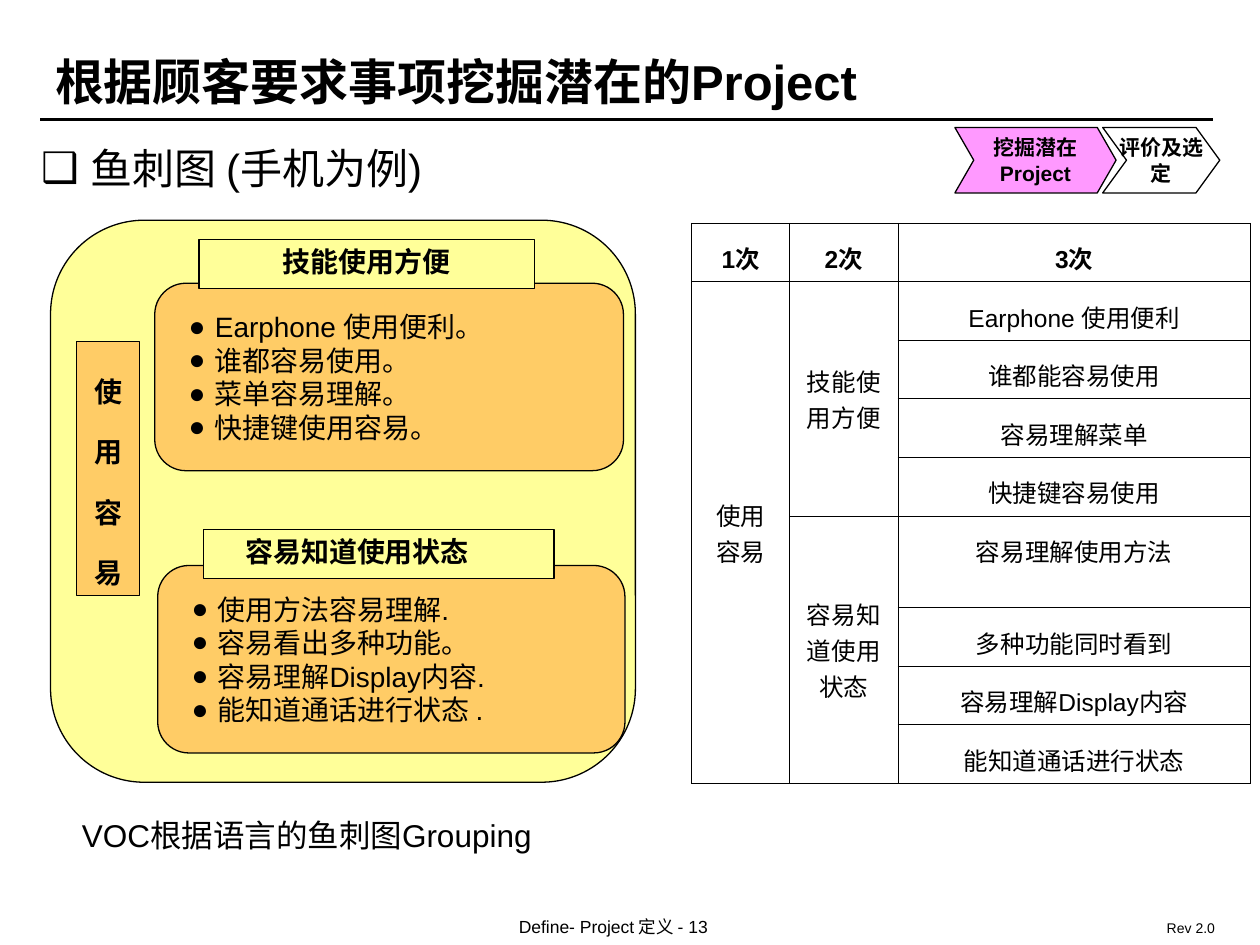
from dataclasses import dataclass

from lxml import etree
from pptx import Presentation
from pptx import util as u
from pptx.dml.color import RGBColor
from pptx.enum import shapes, text
from pptx.oxml import ns

Cm, Pt = u.Cm, u.Pt
KIND = shapes.MSO_SHAPE
LEFT, CENTER = text.PP_ALIGN.LEFT, text.PP_ALIGN.CENTER
TOP, MIDDLE = text.MSO_ANCHOR.TOP, text.MSO_ANCHOR.MIDDLE


@dataclass(frozen=True)
class Theme:
    """Colours, font and type sizes of the deck."""
    font: str = "Arial"
    ink: str = "000000"
    paper: str = "FFFFFF"
    yellow: str = "FFFF99"
    orange: str = "FFCC66"
    pink: str = "FF99FF"
    title: int = 28
    heading: int = 24
    caption: int = 18
    label: int = 16
    table: int = 14
    step: int = 12
    footer: int = 10
    revision: int = 8
    outline: float = 0.75
    rule: float = 1.5
    grid: float = 0.45


THEME = Theme()
CARDS = [
    ((3.12, 5.71, 9.45, 3.78),
     ["Earphone 使用便利。", "谁都容易使用。", "菜单容易理解。", "快捷键使用容易。"],
     (4.01, 4.83, 6.76, 0.99), "技能使用方便", CENTER, 0),
    ((3.18, 11.4, 9.42, 3.78),
     ["使用方法容易理解.", "容易看出多种功能。", "容易理解Display内容.", "能知道通话进行状态 ."],
     (4.11, 10.67, 7.06, 0.99), "容易知道使用状态", LEFT, 0.15),
]
STEPS = [
    ((19.25, 2.57, 3.25, 1.32), 0.38, THEME.pink, ["挖掘潜在", "Project"], 0),
    ((22.23, 2.57, 2.36, 1.32), 0.48, THEME.paper, ["评价及选定"], 0.3),
]
HEADERS = ["1次", "2次", "3次"]
GROUPS = [
    ("技能使用方便", ["Earphone 使用便利", "谁都能容易使用", "容易理解菜单", "快捷键容易使用"]),
    ("容易知道使用状态", ["容易理解使用方法", "多种功能同时看到", "容易理解Display内容", "能知道通话进行状态"]),
]


def apply(target, formats):
    """Set every attribute named in formats on the target."""
    for name, value in formats.items():
        setattr(target, name, value)


def colour(value):
    """Turn a hex string into a colour."""
    return RGBColor.from_string(value)


def add_element(parent, tag, **attributes):
    """Append a DrawingML element and return it."""
    return etree.SubElement(parent, ns.qn(tag), attributes)


def set_indent(para, margin, bullet=None):
    """Indent a paragraph and hang a bullet in the indent when one is given."""
    props = para._p.get_or_add_pPr()
    props.set("marL", str(Cm(margin)))
    props.set("indent", str(-Cm(margin) if bullet else 0))
    if bullet:
        add_element(props, "a:buFont", typeface=THEME.font)
        add_element(props, "a:buChar", char=bullet)


def write(frame, lines, size, bold=False, align=LEFT, spacing=None,
          indent=0, bullet=None):
    """Write one styled paragraph for each line."""
    for index, line in enumerate(lines):
        para = frame.add_paragraph() if index else frame.paragraphs[0]
        if indent:
            set_indent(para, indent, bullet)
        apply(para, {"alignment": align, "line_spacing": spacing})
        span = para.add_run()
        span.text = line
        apply(span.font, {"name": THEME.font, "size": Pt(size), "bold": bold})
        span.font.color.rgb = colour(THEME.ink)


def set_frame(frame, inset, anchor=TOP):
    """Wrap the frame and set its insets and anchor."""
    across, down = map(Cm, inset)
    apply(frame, {"word_wrap": True, "vertical_anchor": anchor,
                  "margin_left": across, "margin_right": across,
                  "margin_top": down, "margin_bottom": down})


def add_text(page, place, line, size, **style):
    """Add a text box holding a single line."""
    box = page.shapes.add_textbox(*map(Cm, place))
    set_frame(box.text_frame, (0.3, 0.15))
    write(box.text_frame, [line], size, **style)


def paint(box, fill):
    """Give a shape a flat fill, a thin outline and no shadow."""
    box.shadow.inherit = False
    box.fill.solid()
    box.fill.fore_color.rgb = colour(fill)
    box.line.color.rgb = colour(THEME.ink)
    box.line.width = Pt(THEME.outline)


def add_box(page, kind, place, fill, lines=(), inset=(0, 0), anchor=TOP, **style):
    """Add a preset shape with optional text."""
    box = page.shapes.add_shape(kind, *map(Cm, place))
    paint(box, fill)
    set_frame(box.text_frame, inset, anchor)
    write(box.text_frame, lines, THEME.label, **style)


def add_step(page, place, notch, fill, lines, inset):
    """Add a chevron step with text across its full width."""
    left, top, width, height = place
    right, middle, bottom = left + width, top + height / 2, top + height
    points = [(right - notch, top), (right, middle), (right - notch, bottom),
              (left, bottom), (left + notch, middle)]
    outline = page.shapes.build_freeform(Cm(left), Cm(top))
    outline.add_line_segments([(Cm(x), Cm(y)) for x, y in points], close=True)
    box = outline.convert_to_shape()
    paint(box, fill)
    set_frame(box.text_frame, (inset, 0.15), MIDDLE)
    write(box.text_frame, lines, THEME.step, bold=True, align=CENTER)


def add_rule(page, left, right, top):
    """Add the rule under the title."""
    rule = page.shapes.add_connector(
        shapes.MSO_CONNECTOR.STRAIGHT, Cm(left), Cm(top), Cm(right), Cm(top))
    rule.line.color.rgb = colour(THEME.ink)
    rule.line.width = Pt(THEME.rule)
    add_element(rule._element.spPr, "a:effectLst")


def style_cell(cell):
    """Draw the cell borders and clear its fill."""
    props = cell._tc.get_or_add_tcPr()
    for side in ("L", "R", "T", "B"):
        edge = add_element(props, f"a:ln{side}", w=str(Pt(THEME.grid)))
        fill = add_element(edge, "a:solidFill")
        add_element(fill, "a:srgbClr", val=THEME.ink)
    cell.fill.background()


def add_group(grid, row, column, count, label):
    """Merge a run of cells in a column and label them."""
    cell = grid.cell(row, column)
    cell.merge(grid.cell(row + count - 1, column))
    cell.vertical_anchor = MIDDLE
    write(cell.text_frame, [label], THEME.table, align=CENTER)


def add_tree_table(page):
    """Add the three-level requirement table."""
    widths = [1.98, 2.18, 7.11]
    heights = [1.18] * 5 + [1.85] + [1.18] * 3
    grid = page.shapes.add_table(
        len(heights), len(widths), Cm(13.94), Cm(4.5),
        Cm(sum(widths)), Cm(sum(heights))).table
    apply(grid, {"first_row": False, "horz_banding": False})
    for column, width in zip(grid.columns, widths):
        column.width = Cm(width)
    for row, height in zip(grid.rows, heights):
        row.height = Cm(height)
    for cell in grid.iter_cells():
        style_cell(cell)
    style = {"align": CENTER, "spacing": 1.3}
    for column, header in enumerate(HEADERS):
        write(grid.cell(0, column).text_frame, [header], THEME.table, bold=True, **style)
    add_group(grid, 1, 0, len(heights) - 1, "使用容易")
    row = 1
    for label, items in GROUPS:
        add_group(grid, row, 1, len(items), label)
        for item in items:
            write(grid.cell(row, 2).text_frame, [item], THEME.table, **style)
            row += 1


def main():
    """Build the slide and save the deck."""
    deck = Presentation()
    apply(deck, {"slide_width": Cm(25.4), "slide_height": Cm(19.05)})
    page = deck.slides.add_slide(deck.slide_layouts[6])
    add_text(page, (10.16, 18.31, 5.82, 0.74), "Define- Project 定义 - 13", THEME.footer)
    add_text(page, (23.22, 18.39, 2.06, 0.64), "Rev 2.0", THEME.revision)
    add_rule(page, 0.81, 24.46, 2.41)
    add_text(page, (0.53, 2.72, 9.2, 1.32), "鱼刺图 (手机为例)", THEME.heading,
             indent=1, bullet="❑")
    add_text(page, (1.35, 16.31, 10.4, 1.07), "VOC根据语言的鱼刺图Grouping", THEME.caption)
    add_box(page, KIND.FLOWCHART_ALTERNATE_PROCESS, (1.02, 4.44, 11.79, 11.33), THEME.yellow)
    add_box(page, KIND.RECTANGLE, (1.55, 6.88, 1.27, 5.13), THEME.orange, ["使用容易"],
            (0.25, 0.13), bold=True, align=CENTER, spacing=1.8)
    for place, items, tag_place, tag, align, indent in CARDS:
        add_box(page, KIND.ROUNDED_RECTANGLE, place, THEME.orange, items,
                (0.5, 0.35), MIDDLE, indent=0.53, bullet="●")
        add_box(page, KIND.RECTANGLE, tag_place, THEME.yellow, [tag], (0.69, 0.23),
                bold=True, align=align, spacing=0.8, indent=indent)
    add_tree_table(page)
    for step in STEPS:
        add_step(page, *step)
    add_text(page, (0.81, 0.66, 17.63, 1.73), "根据顾客要求事项挖掘潜在的Project", THEME.title,
             bold=True, spacing=1.2)
    deck.save("out.pptx")


if __name__ == "__main__":
    main()
